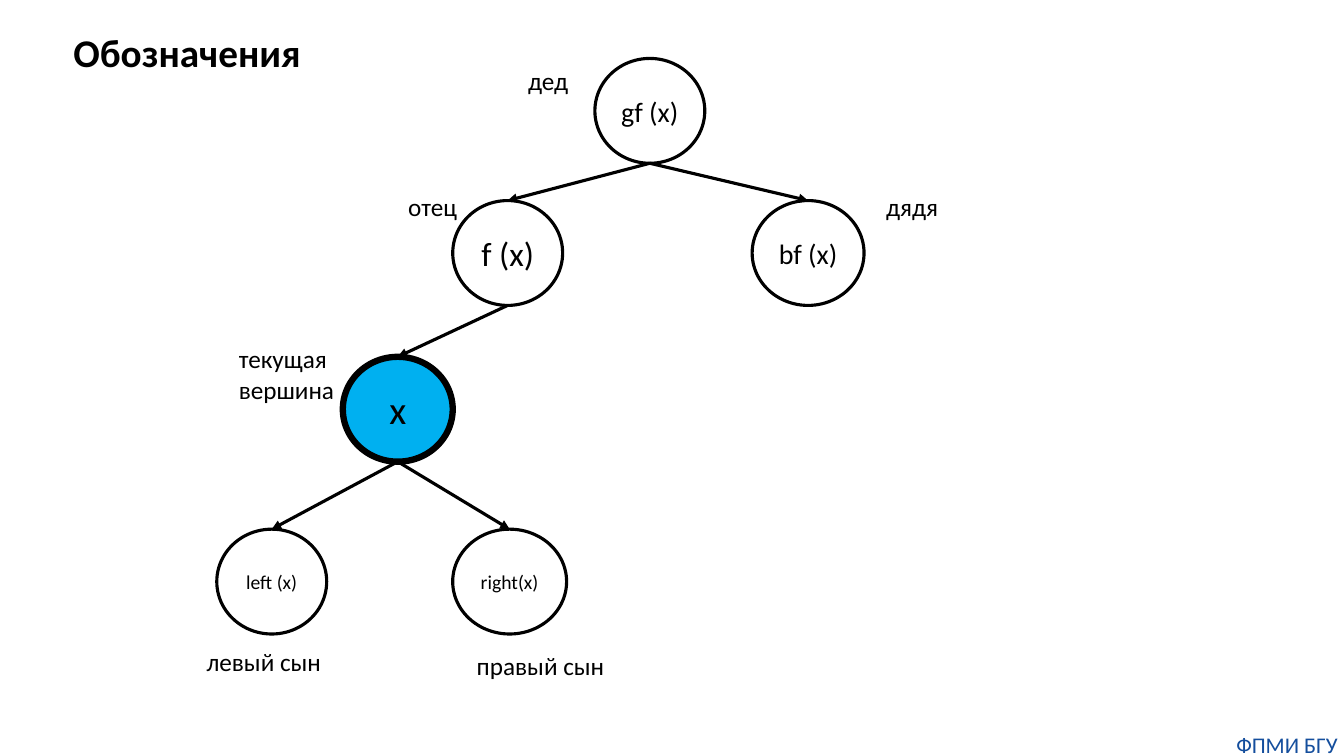
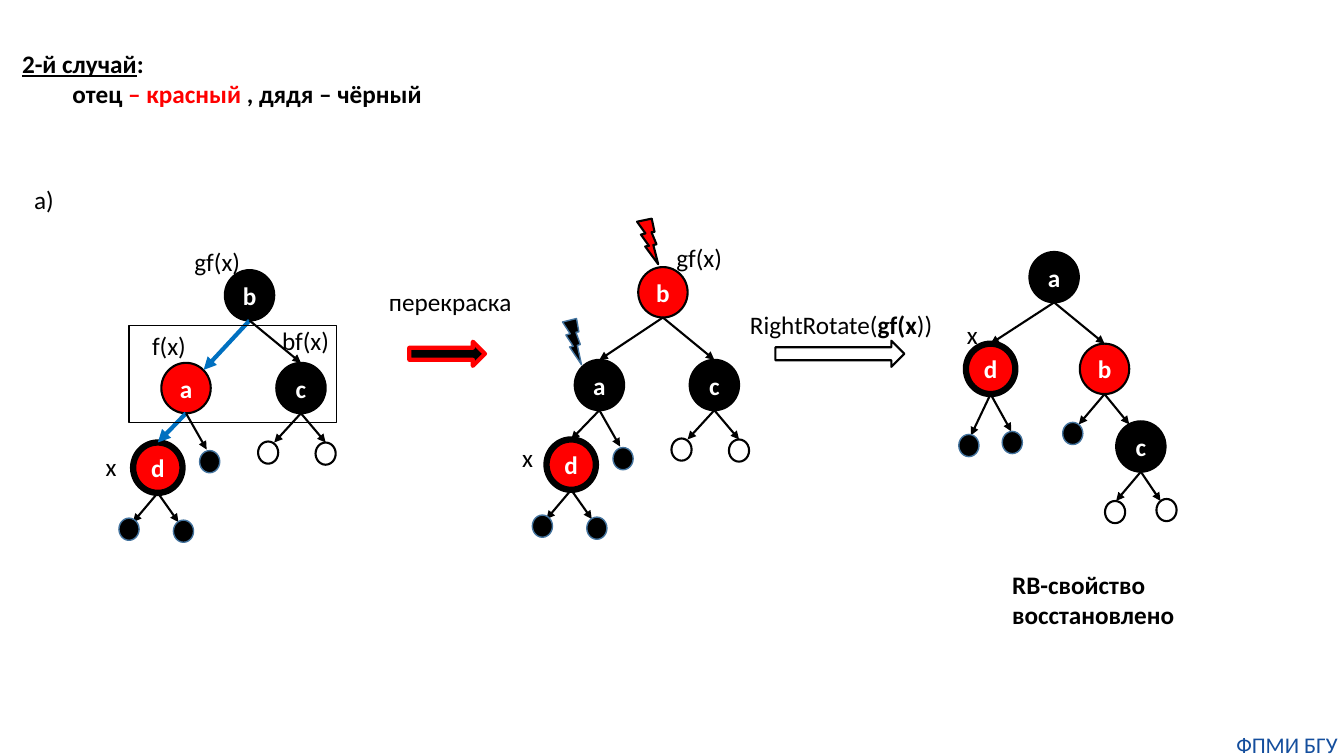
from lxml.etree import SubElement
from pptx import Presentation
from pptx.dml.color import RGBColor
from pptx.enum.shapes import MSO_CONNECTOR, MSO_SHAPE
from pptx.enum.text import MSO_ANCHOR, MSO_AUTO_SIZE, PP_ALIGN
from pptx.oxml.ns import qn
from pptx.util import Inches, Pt

FONT = "Calibri"
COLORS = {
    "black": "000000", "white": "FFFFFF", "red": "FF0000", "sky": "00B0F0",
    "blue": "0070C0", "steel": "43739E", "footer": "144E9D",
}
FOOTER = "ФПМИ БГУ"

# Slide 1: name -> text, size, left, top, width, fill, line width
FAMILY_HEIGHT = 1.04
FAMILY = {
    "left": ("left (x)", 14, 2.15, 5.25, 1.09, None, 2.25),
    "right": ("right(x)", 14, 4.49, 5.25, 1.13, None, 2.25),
    "current": ("x", 28, 3.4, 3.54, 1.09, "sky", 4.5),
    "father": ("f (x)", 24, 4.49, 1.99, 1.09, None, 2.25),
    "grandfather": ("gf (x)", 20, 5.9, 0.58, 1.09, None, 2.25),
    "uncle": ("bf (x)", 20, 7.46, 1.99, 1.11, None, 2.25),
}
FAMILY_EDGES = [
    ("grandfather", "father"), ("grandfather", "uncle"), ("father", "current"),
    ("current", "left"), ("current", "right"),
]
FAMILY_LABELS = [
    (["отец"], 3.95, 1.85, 0.75), (["дядя"], 8.69, 1.85, 0.72),
    (["дед"], 5.14, 0.6, 0.6), (["левый сын"], 1.95, 6.36, 1.38),
    (["правый сын"], 4.63, 6.4, 1.48), (["текущая", "вершина"], 2.27, 3.36, 1.16),
]

# Slide 2: places inside a tree are measured from the tree's origin
NODE_WIDTH, NODE_HEIGHT = 0.49, 0.5
LEAF_WIDTH, LEAF_HEIGHT = 0.2, 0.22
BEFORE_ROTATION = {
    "nodes": {"b": (1.05, 0), "a": (0.42, 0.92), "c": (1.56, 0.92), "d": (0.14, 1.71)},
    "edges": [("b", "a"), ("b", "c"), ("a", "d")],
    # parent, fill, place, arrow tip
    "leaves": [
        ("d", "black", (0, 2.46), (0.14, 2.5)),
        ("d", "black", (0.54, 2.48), (0.59, 2.5)),
        ("a", "black", (0.8, 1.79), (0.87, 1.78)),
        ("c", "white", (1.38, 1.7), (1.54, 1.71)),
        ("c", "white", (1.95, 1.71), (2.05, 1.71)),
    ],
}
AFTER_ROTATION = {
    "nodes": {"a": (0.7, 0), "d": (0.07, 0.91), "b": (1.2, 0.91), "c": (1.56, 1.68)},
    "edges": [("a", "d"), ("a", "b"), ("b", "c")],
    "leaves": [
        ("d", "black", (0, 1.81), (0.12, 1.82)),
        ("d", "black", (0.43, 1.78), (0.52, 1.78)),
        ("b", "black", (1.03, 1.69), (1.19, 1.71)),
        ("c", "white", (1.45, 2.47), (1.56, 2.47)),
        ("c", "white", (1.96, 2.45), (2, 2.47)),
    ],
}
# form, origin, red nodes, blue edges, arrow tips away from the top of a node
TREES = [
    (BEFORE_ROTATION, (1.18, 2.68), "ad", [("b", "a"), ("a", "d")],
     {("b", "a"): (0.84, 0.99)}),
    (BEFORE_ROTATION, (5.28, 2.65), "bd", [], {}),
    (AFTER_ROTATION, (9.51, 2.5), "bd", [], {("b", "c"): (1.69, 1.71)}),
]
CASE_LABELS = [
    ("bf(x)", 2.7, 3.18, 0.67), ("gf(x)", 1.83, 2.39, 0.66), ("x", 0.95, 4.43, 0.31),
    ("f(x)", 1.41, 3.23, 0.54), ("перекраска", 3.76, 2.79, 1.43),
    ("gf(x)", 6.61, 2.36, 0.66), ("x", 5.08, 4.34, 0.31), ("x", 9.49, 3.12, 0.31),
    ("a)", 0.24, 1.78, 0.4),
]
# preset, place and size, fill, line colour, line width, rotation
CASE_MARKS = [
    (MSO_SHAPE.RIGHT_ARROW, (4.06, 3.39, 0.75, 0.24), "black", "red", 3, 0),
    (MSO_SHAPE.RIGHT_ARROW, (7.69, 3.38, 1.28, 0.26), None, "black", 1.5, 0),
    (MSO_SHAPE.LIGHTNING_BOLT, (6.27, 2.17, 0.33, 0.41), "red", "black", 1.5, 18),
    (MSO_SHAPE.LIGHTNING_BOLT, (5.53, 3.16, 0.31, 0.42), "black", "steel", 1, 18),
    (MSO_SHAPE.RECTANGLE, (1.28, 3.23, 2.06, 0.96), None, "black", 1, 0),
]
BOLD = {"bold": True}
CASE_TITLE = [
    [("2-й случай", {"bold": True, "underline": True}), (":", BOLD)],
    [("отец", BOLD), (" – красный ", {"bold": True, "color": "red"}),
     (", дядя – чёрный", BOLD)],
]
ROTATION = [[("RightRotate(", {}), ("gf(x", BOLD), ("))", {})]]
RESULT = [[("RB-свойство", BOLD)], [("восстановлено", BOLD)]]


def rgb(name):
    return RGBColor.from_string(COLORS[name])


def add_run(paragraph, text, size=18, color="black", bold=False, underline=False):
    run = paragraph.add_run()
    run.text = text
    font = run.font
    font.name, font.size, font.bold = FONT, Pt(size), bold
    font.color.rgb = rgb(color)
    if underline:
        font.underline = True


def add_text(slide, paragraphs, left, top, width, height=0.4, wrap=False):
    """Each paragraph is a list of (text, style) runs."""
    box = slide.shapes.add_textbox(*map(Inches, (left, top, width, height)))
    frame = box.text_frame
    frame.word_wrap = wrap
    frame.auto_size = MSO_AUTO_SIZE.SHAPE_TO_FIT_TEXT
    for index, runs in enumerate(paragraphs):
        paragraph = frame.add_paragraph() if index else frame.paragraphs[0]
        for text, style in runs:
            add_run(paragraph, text, **style)
    return frame


def add_figure(slide, preset, place, fill, line, line_width, rotation=0):
    shape = slide.shapes.add_shape(preset, *map(Inches, place))
    shape.shadow.inherit = False
    shape.rotation = rotation
    if fill:
        shape.fill.solid()
        shape.fill.fore_color.rgb = rgb(fill)
    else:
        shape.fill.background()
    shape.line.color.rgb = rgb(line)
    shape.line.width = Pt(line_width)
    return shape


def add_node(slide, place, fill, line_width, text, **style):
    node = add_figure(slide, MSO_SHAPE.OVAL, place, fill, "black", line_width)
    frame = node.text_frame
    frame.vertical_anchor = MSO_ANCHOR.MIDDLE
    paragraph = frame.paragraphs[0]
    paragraph.alignment = PP_ALIGN.CENTER
    add_run(paragraph, text, **style)
    return node


def add_edge(slide, parent, child=None, tip=None, color="black", width=1.5):
    """Arrow from the bottom of parent to a tip, or else to the top of child."""
    start = parent.left + parent.width // 2, parent.top + parent.height
    end = tuple(map(Inches, tip)) if tip else (child.left + child.width // 2, child.top)
    edge = slide.shapes.add_connector(MSO_CONNECTOR.STRAIGHT, *start, *end)
    if not tip:
        edge.end_connect(child, 0)
    edge.line.color.rgb = rgb(color)
    edge.line.width = Pt(width)
    properties = edge._element.spPr
    SubElement(properties.find(qn("a:ln")), qn("a:tailEnd"), type="triangle")
    SubElement(properties, qn("a:effectLst"))


def add_tree(slide, form, origin, red_nodes, blue_edges, tips):
    def locate(point):
        return origin[0] + point[0], origin[1] + point[1]

    nodes = {}
    for name, point in form["nodes"].items():
        nodes[name] = add_node(
            slide, (*locate(point), NODE_WIDTH, NODE_HEIGHT),
            "red" if name in red_nodes else "black", 4.5 if name == "d" else 1.5,
            name, color="white", bold=True)
    for edge in form["edges"]:
        tip = locate(tips[edge]) if edge in tips else None
        color, width = ("blue", 3) if edge in blue_edges else ("black", 1.5)
        add_edge(slide, nodes[edge[0]], nodes[edge[1]], tip, color, width)
    for parent, fill, point, tip in form["leaves"]:
        add_edge(slide, nodes[parent], tip=locate(tip))
        line, width = ("steel", 1) if fill == "black" else ("black", 1.5)
        add_figure(slide, MSO_SHAPE.OVAL, (*locate(point), LEAF_WIDTH, LEAF_HEIGHT),
                   fill, line, width)


def add_slide(presentation):
    slide = presentation.slides.add_slide(presentation.slide_layouts[6])
    frame = add_text(slide, [[(FOOTER, {"size": 16, "color": "footer"})]],
                     12.2, 7.25, 1.13, 0.27, wrap=True)
    frame.margin_left = frame.margin_right = frame.margin_top = frame.margin_bottom = 0
    frame.paragraphs[0].alignment = PP_ALIGN.CENTER
    return slide


def build_notation(presentation):
    slide = add_slide(presentation)
    add_text(slide, [[("Обозначения", {"size": 28, "bold": True})]], 0.63, 0.23, 2.48, 0.57)
    nodes = {}
    for name, (text, size, left, top, width, fill, line_width) in FAMILY.items():
        nodes[name] = add_node(slide, (left, top, width, FAMILY_HEIGHT), fill,
                               line_width, text, size=size)
    for parent, child in FAMILY_EDGES:
        add_edge(slide, nodes[parent], nodes[child], width=2.25)
    for lines, left, top, width in FAMILY_LABELS:
        add_text(slide, [[(line, {})] for line in lines], left, top, width,
                 0.09 + 0.31 * len(lines))


def build_second_case(presentation):
    slide = add_slide(presentation)
    title = add_text(slide, CASE_TITLE, 0.12, 0.43, 4.21, 0.71)
    title.paragraphs[1]._p.get_or_add_pPr().set("marL", str(Inches(0.5)))
    for tree in TREES:
        add_tree(slide, *tree)
    for text, left, top, width in CASE_LABELS:
        add_text(slide, [[(text, {})]], left, top, width)
    add_text(slide, ROTATION, 7.34, 3.02, 2.03, 0.71, wrap=True)
    add_text(slide, RESULT, 9.94, 5.6, 1.82, 0.71)
    for mark in CASE_MARKS:
        add_figure(slide, *mark)


def main():
    presentation = Presentation()
    presentation.slide_width = Inches(13.33)
    presentation.slide_height = Inches(7.5)
    build_notation(presentation)
    build_second_case(presentation)
    presentation.save("out.pptx")


if __name__ == "__main__":
    main()
